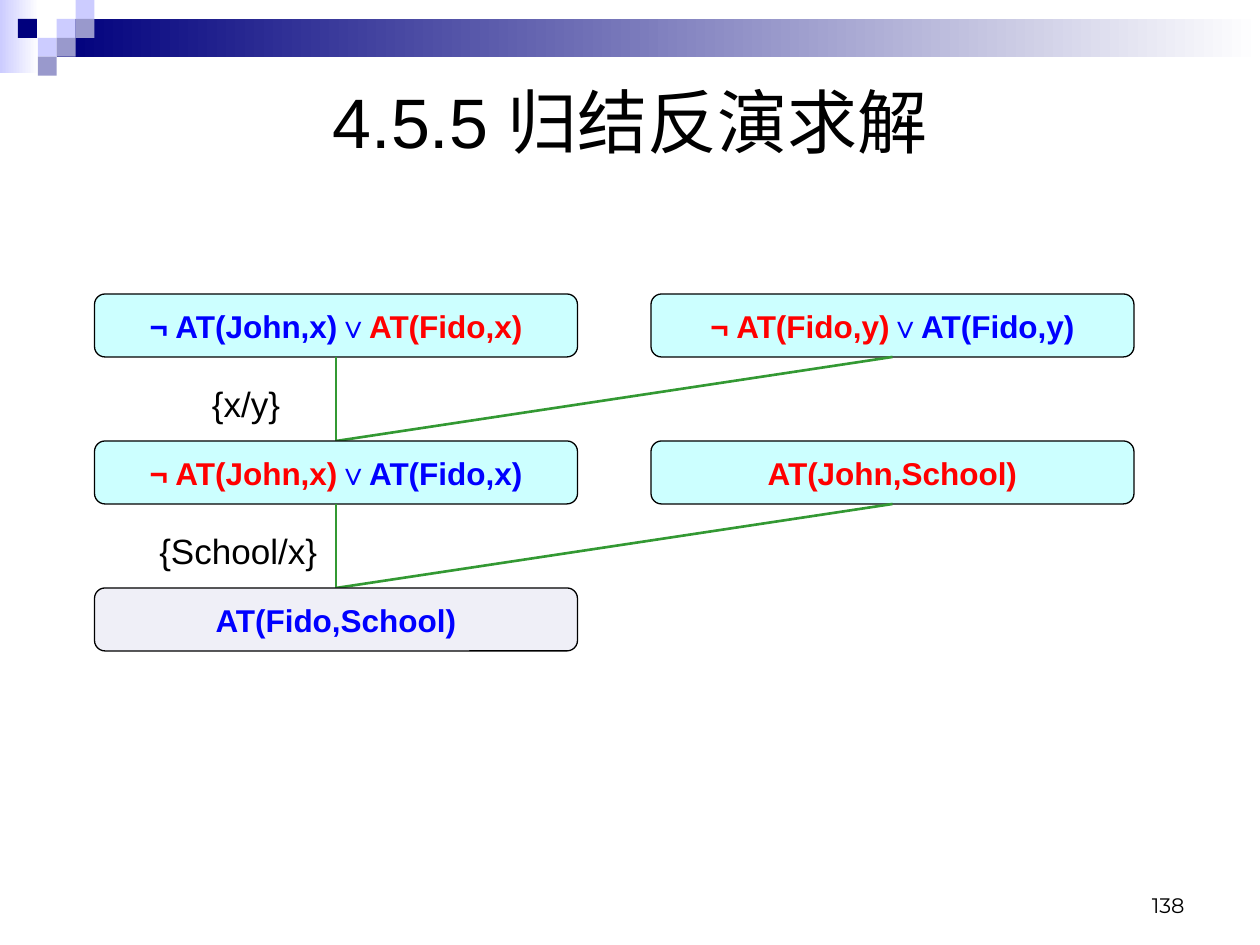
from lxml import etree
from pptx import Presentation
from pptx.dml.color import RGBColor
from pptx.enum.shapes import MSO_CONNECTOR, MSO_SHAPE
from pptx.enum.text import MSO_ANCHOR, PP_ALIGN
from pptx.oxml.ns import qn
from pptx.util import Pt

RECT, ROUNDED = MSO_SHAPE.RECTANGLE, MSO_SHAPE.ROUNDED_RECTANGLE
STRAIGHT = MSO_CONNECTOR.STRAIGHT
LEFT, CENTER, RIGHT = PP_ALIGN.LEFT, PP_ALIGN.CENTER, PP_ALIGN.RIGHT
TOP, MIDDLE, BOTTOM = MSO_ANCHOR.TOP, MSO_ANCHOR.MIDDLE, MSO_ANCHOR.BOTTOM

COLORS = {
    "navy": "00007D", "lilac": "CCCCFF", "violet": "9999CC", "white": "FFFFFF",
    "black": "000000", "red": "FF0000", "blue": "0000FF", "green": "339933",
    "clause": "CCFFFF", "answer": "EFEFF7",
}


def rgb(name):
    return RGBColor.from_string(COLORS[name])


def set_text(sp, runs, size=18, font="Arial", bold=False, align=CENTER,
             anchor=MIDDLE, wrap=True):
    """Write one paragraph made of (text, colour) runs."""
    tf = sp.text_frame
    tf.word_wrap = wrap
    tf.vertical_anchor = anchor
    p = tf.paragraphs[0]
    p.alignment = align
    for text, color in runs:
        r = p.add_run()
        r.text = text
        r.font.name, r.font.size, r.font.bold = font, Pt(size), bold
        r.font.color.rgb = rgb(color)


def add_label(s, box, text, **fmt):
    sp = s.shapes.add_textbox(*map(Pt, box))
    set_text(sp, [(text, "black")], **fmt)


def add_box(s, shape, box, fill, fade_to=None):
    sp = s.shapes.add_shape(shape, *map(Pt, box))
    sp.shadow.inherit = False
    sp.line.fill.background()
    if fade_to:
        sp.fill.gradient()
        sp.fill.gradient_angle = 0
        for stop, color in zip(sp.fill.gradient_stops, (fill, fade_to)):
            stop.color.rgb = rgb(color)
    else:
        sp.fill.solid()
        sp.fill.fore_color.rgb = rgb(fill)
    return sp


def add_clause(s, box, runs, fill="clause"):
    sp = add_box(s, ROUNDED, box, fill)
    sp.adjustments[0] = 0.167
    sp.line.color.rgb = rgb("black")
    sp.line.width = Pt(0.75)
    set_text(sp, runs, bold=True, wrap=False)


def add_link(s, start, end):
    ln = s.shapes.add_connector(STRAIGHT, *map(Pt, start + end))
    ln.line.color.rgb = rgb("green")
    ln.line.width = Pt(1.5)
    etree.SubElement(ln._element.spPr, qn("a:effectLst"))


def add_banner(s, x, y, w):
    """Fading bar with a checker of small squares at its left end."""
    cell = 10.8
    add_box(s, RECT, (x, y, 22.3, 41.8), "lilac", "white")
    add_box(s, RECT, (x + 3 * cell, y + cell, w - 3 * cell, 2 * cell), "navy", "white")
    squares = [(3, 1, "lilac"), (4, 0, "lilac"), (4, 1, "violet"), (2, 2, "lilac"),
               (0.95, 1, "navy"), (3, 2, "violet"), (2, 3, "violet")]
    for col, row, color in squares:
        add_box(s, RECT, (x + col * cell, y + row * cell, cell, cell), color)


def add_refutation(s, x, y, w):
    """Resolution tree: each row's two clauses resolve to the next row's left one."""
    gap, box_h, row_h = 42, 36, 84
    box_w = (w - gap) / 2
    rows = [
        ([("¬ AT(John,x)∨", "blue"), ("AT(Fido,x)", "red")],
         [("¬ AT(Fido,y)", "red"), ("∨AT(Fido,y)", "blue")]),
        ([("¬ AT(John,x)", "red"), ("∨AT(Fido,x)", "blue")],
         [("AT(John,School)", "red")]),
    ]
    substitutions = [("{x/y}", 60), ("{School/x}", 30)]
    centers = [x + box_w / 2, x + box_w + gap + box_w / 2]

    for i, (clauses, (label, dx)) in enumerate(zip(rows, substitutions)):
        top = y + i * row_h
        for center, runs in zip(centers, clauses):
            add_clause(s, (center - box_w / 2, top, box_w, box_h), runs)
            add_link(s, (center, top + box_h), (centers[0], top + row_h))
        add_label(s, (x + dx, top + 46.8, 108, 31.5), label,
                  size=20, align=LEFT, anchor=TOP)

    # Final resolvent
    add_clause(s, (x, y + len(rows) * row_h, box_w, box_h),
               [("AT(Fido,School)", "blue")], fill="answer")


def main():
    prs = Presentation()
    prs.slide_width, prs.slide_height = Pt(720), Pt(540)
    s = prs.slides.add_slide(prs.slide_layouts[6])

    add_banner(s, 0, 0, 720)
    add_label(s, (36, 36, 648, 66), "4.5.5 归结反演求解", size=40)
    add_refutation(s, 54, 168, 594)
    # Page number
    add_label(s, (516, 492, 168, 36), "138", size=12, font="Montserrat",
              align=RIGHT, anchor=BOTTOM)

    prs.save("out.pptx")


if __name__ == "__main__":
    main()
